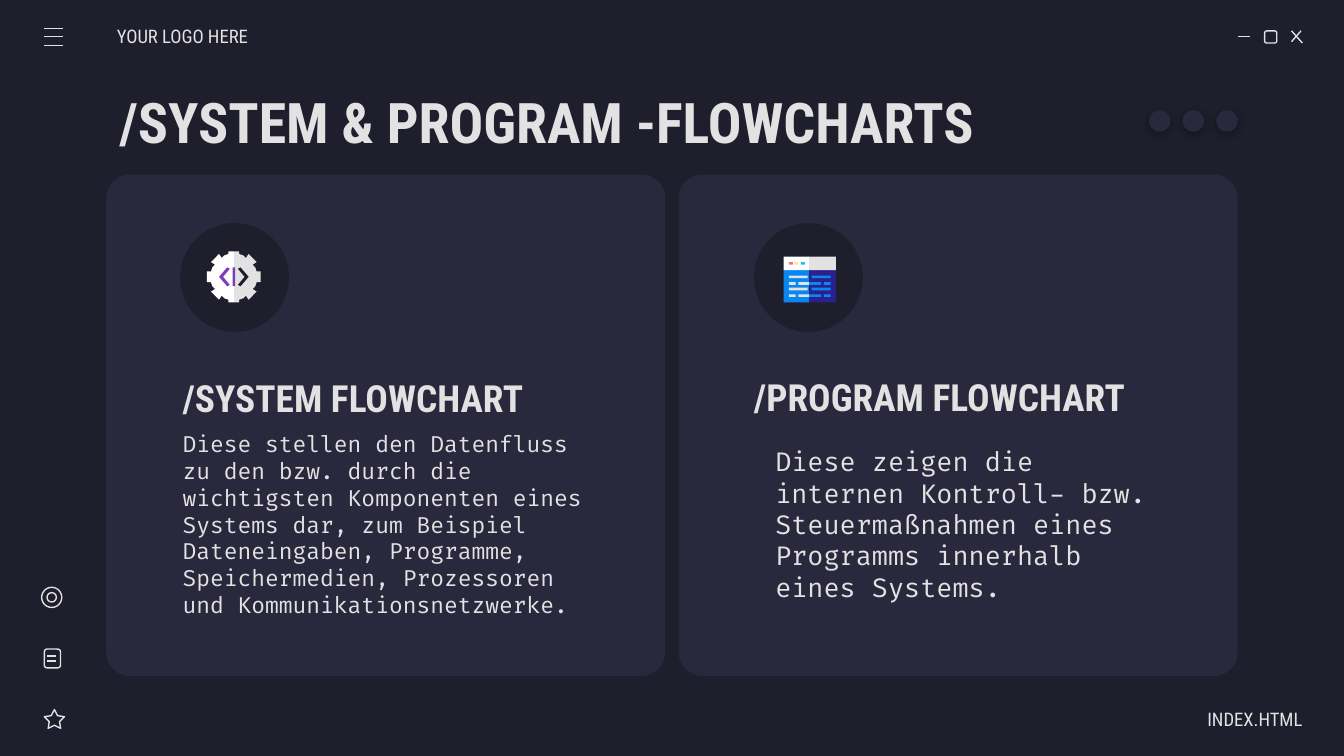
import pptx
import pptx.util
import pptx.dml.color
import pptx.enum.shapes
import pptx.enum.text
import pptx.oxml
from pptx.oxml.ns import nsdecls, qn

Inches = pptx.util.Inches
Pt = pptx.util.Pt
RGB = pptx.dml.color.RGBColor
Kind = pptx.enum.shapes.MSO_SHAPE
Align = pptx.enum.text.PP_ALIGN

DARK = RGB(0x1E, 0x1E, 0x2C)
PANEL = RGB(0x29, 0x28, 0x3D)
LIGHT = RGB(0xE2, 0xE2, 0xE2)
WHITE = RGB(0xFF, 0xFF, 0xFF)
PURPLE = RGB(0x7E, 0x3B, 0xBE)
NAVY = RGB(0x2B, 0x21, 0x8D)
BLUE = RGB(0x08, 0x87, 0xF2)
PINK = RGB(0xE0, 0x7A, 0x88)
YELLOW = RGB(0xFF, 0xEA, 0x7D)
CYAN = RGB(0x24, 0xBF, 0xEB)

HEAD = "Roboto Condensed"
BODY = "Fira Code"
STEP = 4.26  # distance between the two panels

SHADOW = (
    f'<a:effectLst {nsdecls("a")}>'
    '<a:outerShdw blurRad="57150" dist="19050" dir="5400000" algn="bl" rotWithShape="0">'
    '<a:srgbClr val="000000"><a:alpha val="30000"/></a:srgbClr>'
    '</a:outerShdw></a:effectLst>'
)


def paint(shape, fill):
    shape.shadow.inherit = False
    shape.fill.solid()
    shape.fill.fore_color.rgb = fill
    shape.line.fill.background()
    return shape


def solid(slide, kind, x, y, w, h, fill):
    shape = slide.shapes.add_shape(kind, Inches(x), Inches(y), Inches(w), Inches(h))
    return paint(shape, fill)


def outline(slide, kind, x, y, w, h):
    shape = solid(slide, kind, x, y, w, h, DARK)
    shape.fill.background()
    shape.line.color.rgb = LIGHT
    shape.line.width = Pt(0.75)
    return shape


def stroke(slide, x1, y1, x2, y2):
    line = slide.shapes.add_connector(
        pptx.enum.shapes.MSO_CONNECTOR.STRAIGHT,
        Inches(x1), Inches(y1), Inches(x2), Inches(y2))
    line.line.color.rgb = LIGHT
    line.line.width = Pt(0.75)
    line._element.spPr.append(pptx.oxml.parse_xml(f'<a:effectLst {nsdecls("a")}/>'))


def polygon(slide, points, fill):
    spots = [(Inches(x), Inches(y)) for x, y in points]
    form = slide.shapes.build_freeform(*spots[0])
    form.add_line_segments(spots[1:], close=True)
    paint(form.convert_to_shape(), fill)


def label(slide, x, y, w, h, lines, size, font=HEAD, bold=False,
          align=Align.LEFT, left=0.1, right=0.1, indent=None):
    box = slide.shapes.add_textbox(Inches(x), Inches(y), Inches(w), Inches(h))
    frame = box.text_frame
    frame.word_wrap = True
    frame.vertical_anchor = pptx.enum.text.MSO_ANCHOR.MIDDLE
    frame.margin_left, frame.margin_right = Inches(left), Inches(right)
    frame.margin_top = frame.margin_bottom = Inches(0.1)
    frame.text = "\n".join(lines)
    for para in frame.paragraphs:
        para.alignment = align
        if indent:
            props = para._p.get_or_add_pPr()
            props.set("marL", str(Inches(indent[0])))
            props.set("indent", str(Inches(indent[1])))
        for run in para.runs:
            run.font.name = font
            run.font.size = Pt(size)
            run.font.bold = bold
            run.font.color.rgb = LIGHT


def panels(slide):
    for x in (0.79, 0.79 + STEP):
        card = solid(slide, Kind.ROUNDED_RECTANGLE, x, 1.3, 4.16, 3.73, PANEL)
        card.adjustments[0] = 0.047
    for x in (1.34, 5.61):
        solid(slide, Kind.OVAL, x, 1.66, 0.81, 0.81, DARK)


def controls(slide):
    # Window buttons
    stroke(slide, 9.21, 0.27, 9.3, 0.27)
    outline(slide, Kind.ROUNDED_RECTANGLE, 9.41, 0.23, 0.09, 0.09)
    stroke(slide, 9.61, 0.23, 9.69, 0.32)
    stroke(slide, 9.68, 0.23, 9.61, 0.31)
    # Menu
    for y in (0.21, 0.27, 0.34):
        stroke(slide, 0.33, y, 0.47, y)
    # Side icons
    star = outline(slide, Kind.STAR_5_POINT, 0.33, 5.28, 0.15, 0.14)
    for i, value in enumerate((0.254, 1.051, 1.106)):
        star.adjustments[i] = value
    outline(slide, Kind.ROUNDED_RECTANGLE, 0.33, 4.83, 0.12, 0.14)
    for y in (4.88, 4.92):
        stroke(slide, 0.35, y, 0.42, y)
    outline(slide, Kind.OVAL, 0.31, 4.37, 0.15, 0.15)
    outline(slide, Kind.OVAL, 0.35, 4.41, 0.07, 0.07)


def dots(slide):
    for i in range(3):
        dot = solid(slide, Kind.OVAL, 8.55 + 0.25 * i, 0.82, 0.16, 0.16, PANEL)
        props = dot._element.spPr
        props.replace(props.find(qn("a:effectLst")), pptx.oxml.parse_xml(SHADOW))


def gear(slide):
    mid, axis = 1.74, 2.06
    # Upper quarter of the rim, as offsets from the centre
    rim = [(0, -0.19), (0.04, -0.19), (0.04, -0.17), (0.07, -0.16), (0.09, -0.14),
           (0.11, -0.17), (0.17, -0.11), (0.14, -0.09), (0.16, -0.07),
           (0.17, -0.04), (0.2, -0.04)]
    half = rim + [(x, -y) for x, y in reversed(rim)]
    for side, fill in ((1, LIGHT), (-1, WHITE)):
        polygon(slide, [(mid + side * x, axis + y) for x, y in half], fill)
    # Code brackets and bar
    hook = [(0.05, -0.07), (0.11, 0), (0.05, 0.07), (0.03, 0.06), (0.08, 0), (0.03, -0.06)]
    for side, fill in ((-1, PURPLE), (1, DARK)):
        polygon(slide, [(mid + side * x, axis + y) for x, y in hook], fill)
    solid(slide, Kind.RECTANGLE, 1.73, 1.99, 0.02, 0.14, PURPLE)


def window(slide):
    mid = 6.02
    # Body and title bar
    for x, w, body, bar in ((5.83, 0.19, BLUE, WHITE), (mid, 0.2, NAVY, LIGHT)):
        solid(slide, Kind.RECTANGLE, x, 2.01, w, 0.24, body)
        solid(slide, Kind.RECTANGLE, x, 1.91, w, 0.1, bar)
    # Code lines
    whole = [(5.87, 0.14), (6.04, 0.14)]
    split = [(5.87, 0.05), (5.94, 0.08), (mid, 0.09), (6.13, 0.05)]
    for y, parts in ((2.05, whole), (2.1, split), (2.14, whole), (2.19, split)):
        for x, w in parts:
            solid(slide, Kind.RECTANGLE, x, y, w, 0.02, LIGHT if x < mid else BLUE)
    # Title bar buttons
    for x, fill in ((5.87, PINK), (5.91, YELLOW), (5.96, CYAN)):
        solid(slide, Kind.RECTANGLE, x, 1.95, 0.03, 0.02, fill)


def words(slide):
    label(slide, 0.79, 0.59, 8.43, 0.63, ["/SYSTEM & PROGRAM -FLOWCHARTS"], 30, bold=True)
    label(slide, 0.87, 0.12, 1.17, 0.3, ["YOUR LOGO HERE"], 10, left=0)
    label(slide, 8.52, 5.2, 1.17, 0.3, ["INDEX.HTML"], 10, align=Align.RIGHT, right=0)
    # Left panel
    label(slide, 1.26, 2.7, 3.22, 0.51, ["/SYSTEM FLOWCHART"], 20, bold=True)
    label(slide, 1.26, 3.2, 3.22, 1.4, [
        "Diese stellen den Datenfluss zu den bzw. durch die wichtigsten "
        "Komponenten eines Systems dar, zum Beispiel Dateneingaben, Programme, "
        "Speichermedien, Prozessoren und Kommunikationsnetzwerke."], 12, BODY)
    # Right panel
    label(slide, 5.61, 2.8, 3.22, 0.3, ["/PROGRAM FLOWCHART"], 20, bold=True, left=0)
    label(slide, 5.52, 3.2, 3.22, 1.4, [
        "Diese zeigen die", "internen Kontroll- bzw.", "Steuermaßnahmen eines",
        "Programms innerhalb", "eines Systems."], 14, BODY, indent=(0.5, -0.35))


def main():
    deck = pptx.Presentation()
    # Widescreen, 16 by 9
    deck.slide_width = Inches(10)
    deck.slide_height = Inches(10 * 9 / 16)
    slide = deck.slides.add_slide(deck.slide_layouts[6])
    slide.background.fill.solid()
    slide.background.fill.fore_color.rgb = DARK
    panels(slide)
    controls(slide)
    words(slide)
    dots(slide)
    gear(slide)
    window(slide)
    deck.save("out.pptx")


if __name__ == "__main__":
    main()
